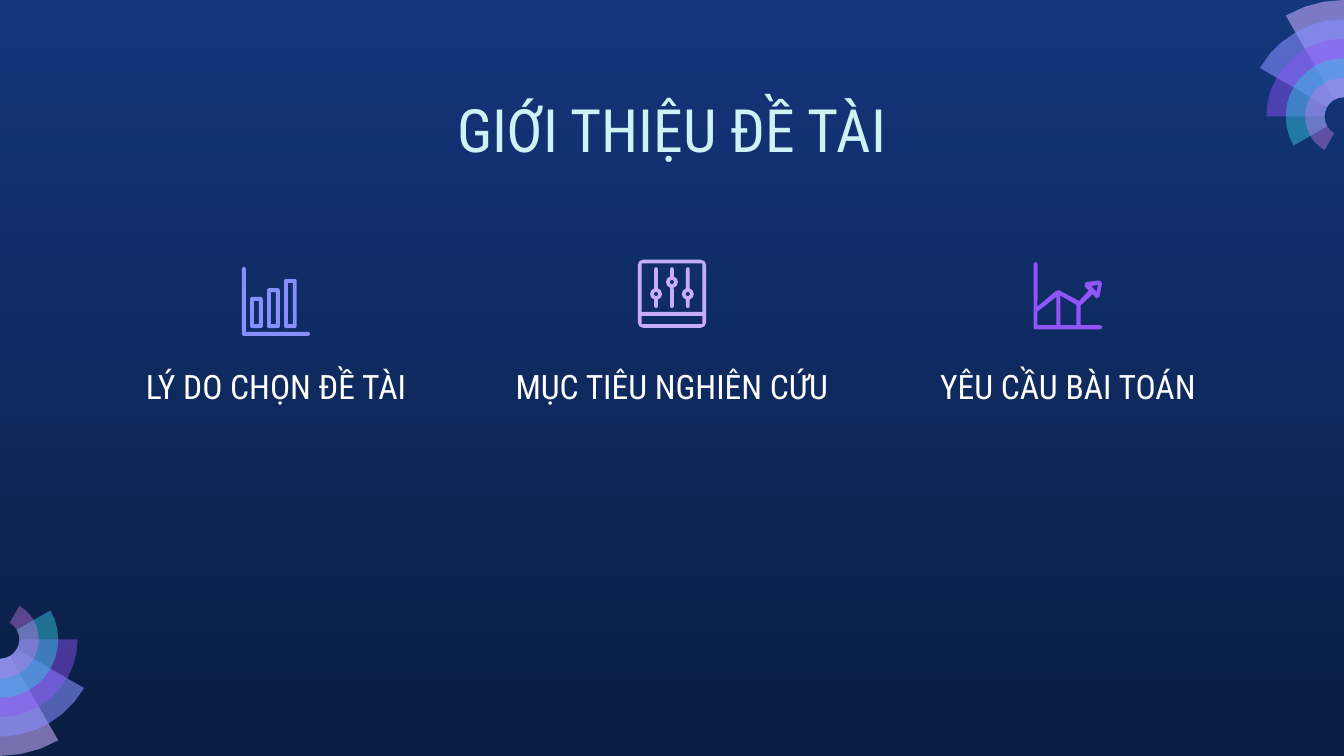
import math
import pptx
import pptx.util
import pptx.dml.color
import pptx.enum.text
import lxml.etree

Pt = pptx.util.Pt
RGB = pptx.dml.color.RGBColor
ALIGN = pptx.enum.text.PP_ALIGN
ANCHOR = pptx.enum.text.MSO_ANCHOR

NAVY = RGB(0x13, 0x36, 0x7C)
DARK = RGB(0x0A, 0x1D, 0x42)
ICE = RGB(0xCE, 0xF3, 0xF5)
WHITE = RGB(0xFF, 0xFF, 0xFF)
LILAC = RGB(0xC8, 0xAC, 0xFD)
MAUVE = RGB(0xC8, 0xAE, 0xF8)
BLUE = RGB(0x87, 0x8F, 0xFF)
VIOLET = RGB(0x91, 0x54, 0xF8)
TEAL = RGB(0x35, 0xC2, 0xDF)
PINK = RGB(0xCA, 0x7B, 0xEB)

WIDE, HIGH = 720, 405
FONT = "Roboto Condensed"
TITLE = "GIỚI THIỆU ĐỀ TÀI"
TOPICS = ["LÝ DO CHỌN ĐỀ TÀI", "MỤC TIÊU NGHIÊN CỨU", "YÊU CẦU BÀI TOÁN"]
BANDS = [(LILAC, 58), (BLUE, 58), (VIOLET, 46), (TEAL, 49), (PINK, 42)]
RING = 10.4
FANS = [(0, HIGH - 6 * RING, 0), (WIDE, 6 * RING, 180)]
KNOBS = [(351.5, 157.5), (360, 151.1), (368.5, 157.5)]
BARS = [(134, 159.1), (143.1, 154.4), (152.2, 149.5)]
TREND = [(555.8, 164.2), (565.9, 155.8), (567.4, 155.6),
         (578.2, 161.3), (583.2, 155.7), (581, 153.4), (581.6, 151.2),
         (588.9, 150.3), (590.4, 151.8), (589, 159), (587.4, 159.9),
         (585.3, 157.7), (578.9, 163.7), (578.9, 174.3)]
HOLES = [[(588.2, 152.6), (587.5, 156.2), (584.6, 153.4)],
         [(565.9, 159.1), (565.9, 174.3), (555.8, 174.3), (555.8, 167)],
         [(568.1, 158.4), (576.7, 163.4), (576.7, 174.3), (568.1, 174.3)]]


def arc(x, y, rad, start, end):
    step = 10 if rad > RING else 15 if rad == RING else 45 if rad > 2 else 60
    count = math.ceil(abs(end - start) / step)
    turns = [math.radians(start + (end - start) * i / count) for i in range(count + 1)]
    return [(x + rad * math.cos(t), y + rad * math.sin(t)) for t in turns]


def box(left, top, right, low, rad=0):
    if not rad:
        return [(left, top), (right, top), (right, low), (left, low)]
    return (arc(left + rad, top + rad, rad, 180, 270)
            + arc(right - rad, top + rad, rad, 270, 360)
            + arc(right - rad, low - rad, rad, 0, 90)
            + arc(left + rad, low - rad, rad, 90, 180))


def axis(left, top, right, low, inner):
    rad = 1.1
    return (arc(left + rad, top + rad, rad, 180, 360) + inner
            + arc(right - rad, low - rad, rad, -90, 90)
            + arc(left + rad, low - rad, rad, 90, 180))


def draw(slide, loops, color, alpha=None):
    loops = [[(Pt(x), Pt(y)) for x, y in loop] for loop in loops]
    pen = slide.shapes.build_freeform(*loops[0][0], scale=1.0)
    pen.add_line_segments(loops[0][1:], close=True)
    for loop in loops[1:]:
        pen.move_to(*loop[0])
        pen.add_line_segments(loop[1:], close=True)
    shape = pen.convert_to_shape()
    shape.shadow.inherit = False
    shape.fill.solid()
    shape.fill.fore_color.rgb = color
    shape.line.fill.background()
    if alpha:
        tint = shape.element.spPr.find(".//" + pptx.oxml.ns.qn("a:srgbClr"))
        node = lxml.etree.SubElement(tint, pptx.oxml.ns.qn("a:alpha"))
        node.set("val", str(alpha * 1000))


def write(slide, text, place, size, color, anchor):
    frame = slide.shapes.add_textbox(*map(Pt, place)).text_frame
    para = frame.paragraphs[0]
    run = para.add_run()
    pad = Pt(7.2)
    looks = [
        (frame, {"word_wrap": True, "vertical_anchor": anchor, "margin_left": pad,
                 "margin_right": pad, "margin_top": pad, "margin_bottom": pad}),
        (para, {"alignment": ALIGN.CENTER}),
        (run, {"text": text}),
        (run.font, {"name": FONT, "size": Pt(size)}),
        (run.font.color, {"rgb": color}),
    ]
    for part, values in looks:
        for name, value in values.items():
            setattr(part, name, value)


def main():
    deck = pptx.Presentation()
    deck.slide_width, deck.slide_height = Pt(WIDE), Pt(HIGH)
    slide = deck.slides.add_slide(deck.slide_layouts[6])
    back = slide.background.fill
    back.gradient()
    back.gradient_angle = 270
    for stop, color in zip(back.gradient_stops, (NAVY, DARK)):
        stop.color.rgb = color

    for x, y, turn in FANS:
        for i, (color, alpha) in enumerate(BANDS):
            start, end = turn + 90, turn + 60 - 30 * i
            edge = arc(x, y, RING * (6 - i), start, end) + arc(x, y, RING, end, start)
            draw(slide, [edge], color, alpha)

    write(slide, TITLE, (56.7, 42.5, 606.6, 45.4), 32, ICE, ANCHOR.TOP)
    for i, text in enumerate(TOPICS):
        write(slide, text, (56.7 + 212.1 * i, 191.5, 182.4, 31), 18, WHITE, ANCHOR.MIDDLE)

    draw(slide, [box(341.7, 139.1, 378.3, 175.7, 3),
                 box(343.7, 141.1, 376.3, 167.1),
                 box(343.7, 169.2, 376.3, 173.7)], MAUVE)
    for x, y in KNOBS:
        edge = (arc(x, 144.1, 1, 180, 360) + arc(x, y, 3.2, -72, 72)
                + arc(x, 164.1, 1, 0, 180) + arc(x, y, 3.2, 108, 252))
        draw(slide, [edge, arc(x, y, 1.2, 0, 360)], MAUVE)

    for x, y in BARS:
        draw(slide, [box(x, y, x + 6.8, 175.8, 1),
                     box(x + 2.1, y + 2.1, x + 4.7, 173.7)], BLUE)
    draw(slide, [axis(129.6, 143, 166.2, 180, [(131.8, 177.8)])], BLUE)
    draw(slide, [axis(553.7, 140.4, 590.4, 176.5, TREND)] + HOLES, VIOLET)
    deck.save("out.pptx")


if __name__ == "__main__":
    main()
